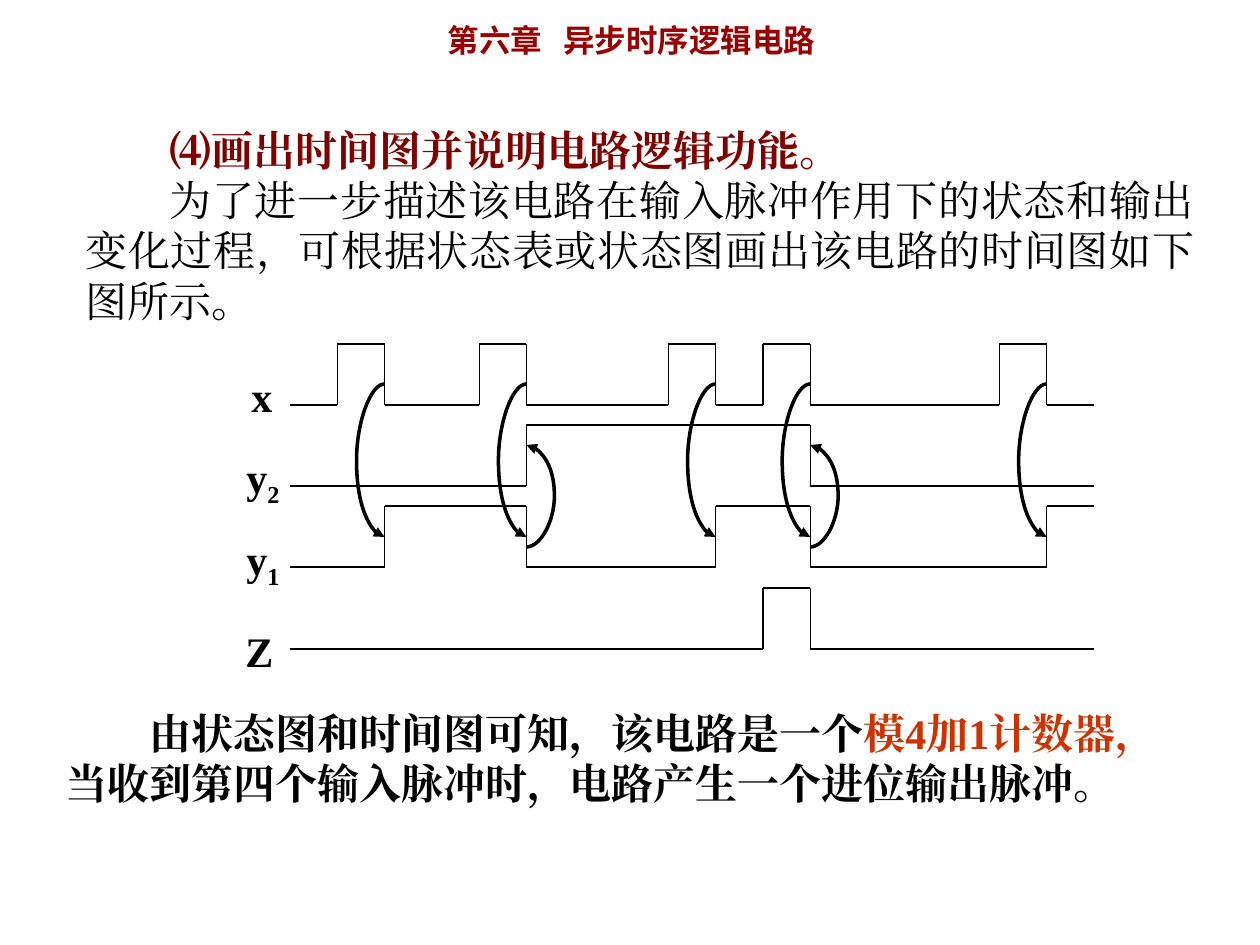
from itertools import groupby
from lxml import etree
from pptx import Presentation
from pptx import util as u
from pptx.dml.color import RGBColor
from pptx.enum import shapes, text
from pptx.oxml.ns import qn

PX = 914400 / 126
BLACK = RGBColor(0, 0, 0)
RED = RGBColor(0x99, 0, 0)
MAROON = RGBColor(0x80, 0, 0)
ORANGE = RGBColor(0xCC, 0x33, 0)
SERIF, SANS = "Times New Roman", "Noto Sans CJK JP"
JUSTIFY = text.PP_ALIGN.JUSTIFY

HEADER = [("第六章", {}), (" ", {"spacing": 800}), ("异步时序逻辑电路", {})]
HEADING = [("⑷画出时间图并说明电路逻辑功能。", {"color": MAROON, "bold": True})]
INTRO = [("为了进一步描述该电路在输入脉冲作用下的状态和输出变化过程，"
          "可根据状态表或状态图画出该电路的时间图如下图所示。", {})]
CONCLUSION = [("由状态图和时间图可知，该电路是一个", {}),
              ("模4加1计数器，", {"color": ORANGE})]
RESULT = [("当收到第四个输入脉冲时，电路产生一个进位输出脉冲。", {})]

SIGNALS = [
    {"name": "x", "levels": "01001000101000010", "top": 344, "label": (239, 364, 45, 63)},
    {"name": "y", "index": "2", "levels": "00000111111000000", "top": 425, "label": (234, 445, 58, 71)},
    {"name": "y", "index": "1", "levels": "00111000011000001", "top": 506, "label": (234, 527, 58, 71)},
    {"name": "Z", "levels": "00000000001000000", "top": 588, "label": (233, 619, 53, 63), "merged": True},
]
SLOTS, WAVE_LEFT, WAVE_WIDTH, WAVE_HEIGHT = 17, 290, 804, 61
TRIGGER_EDGES = [2, 5, 9, 11, 16]
CARRY_EDGES = [5, 11]


def px(value):
    return u.Emu(round(value * PX))


def edge_x(slot):
    return WAVE_LEFT + WAVE_WIDTH * slot / SLOTS


def write(paragraph, runs, size=24, font=SERIF, color=BLACK, bold=False, align=None, indent=0):
    paragraph.alignment = align
    if indent:
        paragraph._p.get_or_add_pPr().set("indent", str(px(indent)))
    for content, style in runs:
        run = paragraph.add_run()
        run.text = content
        run.font.size = u.Pt(size)
        run.font.name = font
        run.font.bold = style.get("bold", bold)
        run.font.color.rgb = style.get("color", color)
        properties = run._r.get_or_add_rPr()
        etree.SubElement(properties, qn("a:ea")).set("typeface", font)
        for attribute, key in (("baseline", "baseline"), ("spc", "spacing")):
            if key in style:
                properties.set(attribute, str(style[key]))


def place(shape, left, top, width, height):
    shape.left, shape.top, shape.width, shape.height = map(px, (left, top, width, height))


def add_box(slide, bounds, paragraphs, wrap=True):
    frame = slide.shapes.add_textbox(*map(px, bounds)).text_frame
    frame.word_wrap = wrap
    for number, (runs, style) in enumerate(paragraphs):
        paragraph = frame.add_paragraph() if number else frame.paragraphs[0]
        write(paragraph, runs, **style)


def add_line(slide, x1, y1, x2, y2):
    line = slide.shapes.add_connector(shapes.MSO_CONNECTOR.STRAIGHT, *map(px, (x1, y1, x2, y2)))
    line.line.color.rgb = BLACK
    line.line.width = u.Pt(0.75)
    etree.SubElement(line._element.spPr, qn("a:effectLst"))


def add_wave(slide, signal):
    levels, top = signal["levels"], signal["top"]
    heights = {"1": top, "0": top + WAVE_HEIGHT}
    merged = signal.get("merged")
    for _, run in groupby(range(SLOTS), lambda slot: levels[slot] if merged else slot):
        slots = list(run)
        y = heights[levels[slots[0]]]
        add_line(slide, edge_x(slots[0]), y, edge_x(slots[-1] + 1), y)
    for slot in range(1, SLOTS):
        if levels[slot] != levels[slot - 1]:
            add_line(slide, edge_x(slot), top, edge_x(slot), top + WAVE_HEIGHT)


def add_arc(slide, x, top, bottom, bulge, arrow_end):
    middle = (top + bottom) / 2
    builder = slide.shapes.build_freeform(px(x), px(top))
    builder.add_line_segments([(px(x + bulge), px(middle)), (px(x), px(bottom))], close=False)
    arc = builder.convert_to_shape()
    arc.shadow.inherit = False
    arc.fill.background()
    arc.line.color.rgb = BLACK
    arc.line.width = u.Pt(2)
    etree.SubElement(arc.line._get_or_add_ln(), qn(arrow_end)).set("type", "triangle")
    width, height = arc.width, arc.height
    end, far = (width, 0) if bulge < 0 else (0, width)
    curves = [
        [(width / 2, 0), (far, height / 4), (far, height / 2)],
        [(far, height * 3 / 4), (width / 2, height), (end, height)],
    ]
    for segment, points in zip(list(arc._element.iter(qn("a:lnTo"))), curves):
        curve = etree.Element(qn("a:cubicBezTo"))
        for point_x, point_y in points:
            point = etree.SubElement(curve, qn("a:pt"))
            point.set("x", str(round(point_x)))
            point.set("y", str(round(point_y)))
        segment.getparent().replace(segment, curve)


def main():
    presentation = Presentation()
    presentation.slide_width, presentation.slide_height = px(1260), px(945)
    slide = presentation.slides.add_slide(presentation.slide_layouts[5])

    title = slide.shapes.title
    place(title, 435, 15, 464, 50)
    frame = title.text_frame
    frame.auto_size = text.MSO_AUTO_SIZE.NONE
    frame.vertical_anchor = text.MSO_ANCHOR.TOP
    write(frame.paragraphs[0], HEADER, size=18, font=SANS, color=RED, bold=True,
          align=text.PP_ALIGN.LEFT)

    body = {"align": JUSTIFY, "indent": 84}
    add_box(slide, (73, 118, 1134, 214), [(HEADING, body), (INTRO, body)])
    add_box(slide, (53, 701, 1207, 113), [
        (CONCLUSION, {**body, "bold": True}),
        (RESULT, {"align": JUSTIFY, "bold": True}),
    ])

    for signal in SIGNALS:
        add_wave(slide, signal)
        label = [(signal["name"], {})]
        if "index" in signal:
            label.append((signal["index"], {"baseline": -25000}))
        add_box(slide, signal["label"], [(label, {"bold": True})], wrap=False)

    for slot in TRIGGER_EDGES:
        add_arc(slide, edge_x(slot), 384, 537, -28, "a:tailEnd")
    for slot in CARRY_EDGES:
        add_arc(slide, edge_x(slot), 445, 547, 28, "a:headEnd")

    presentation.save("out.pptx")


if __name__ == "__main__":
    main()
